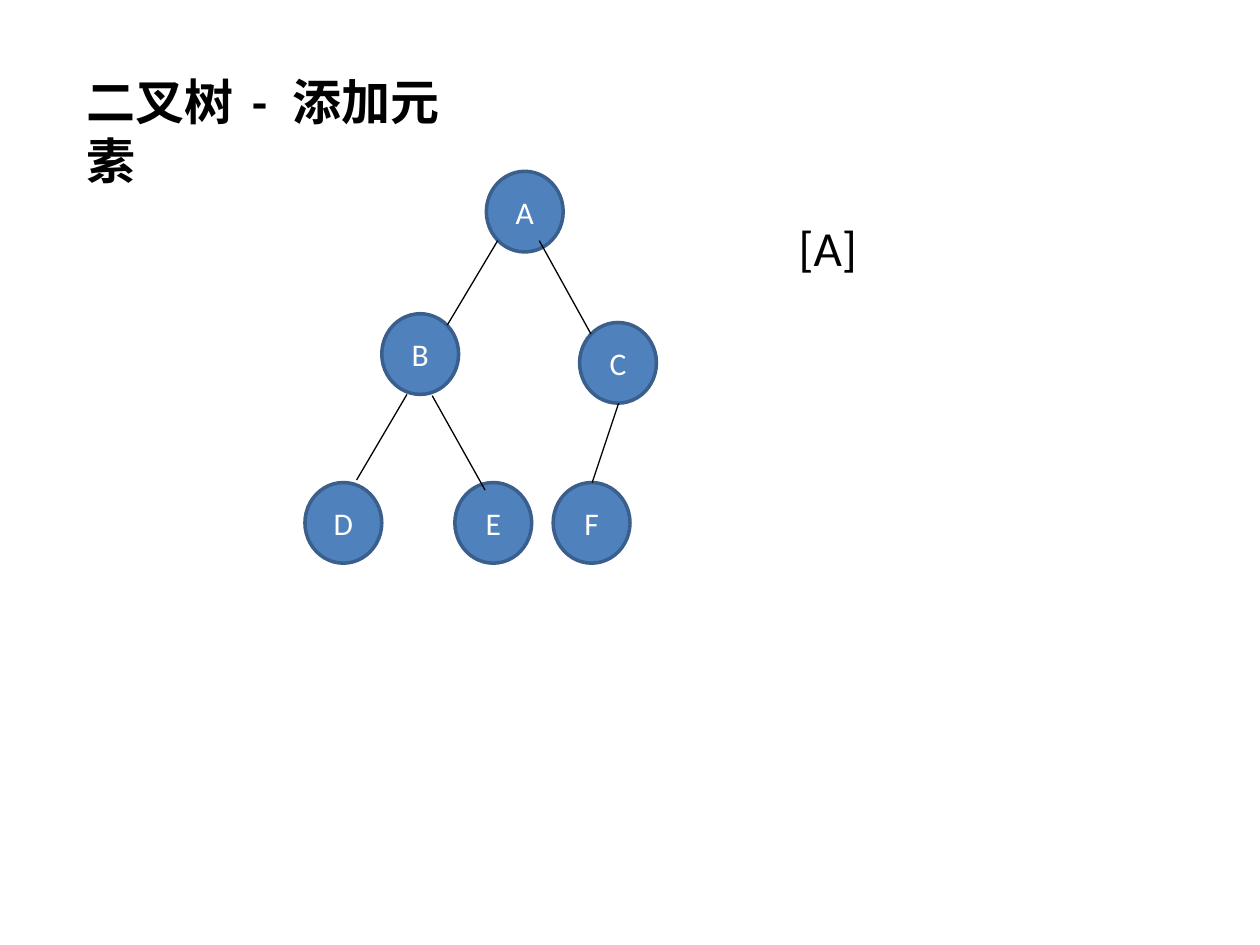
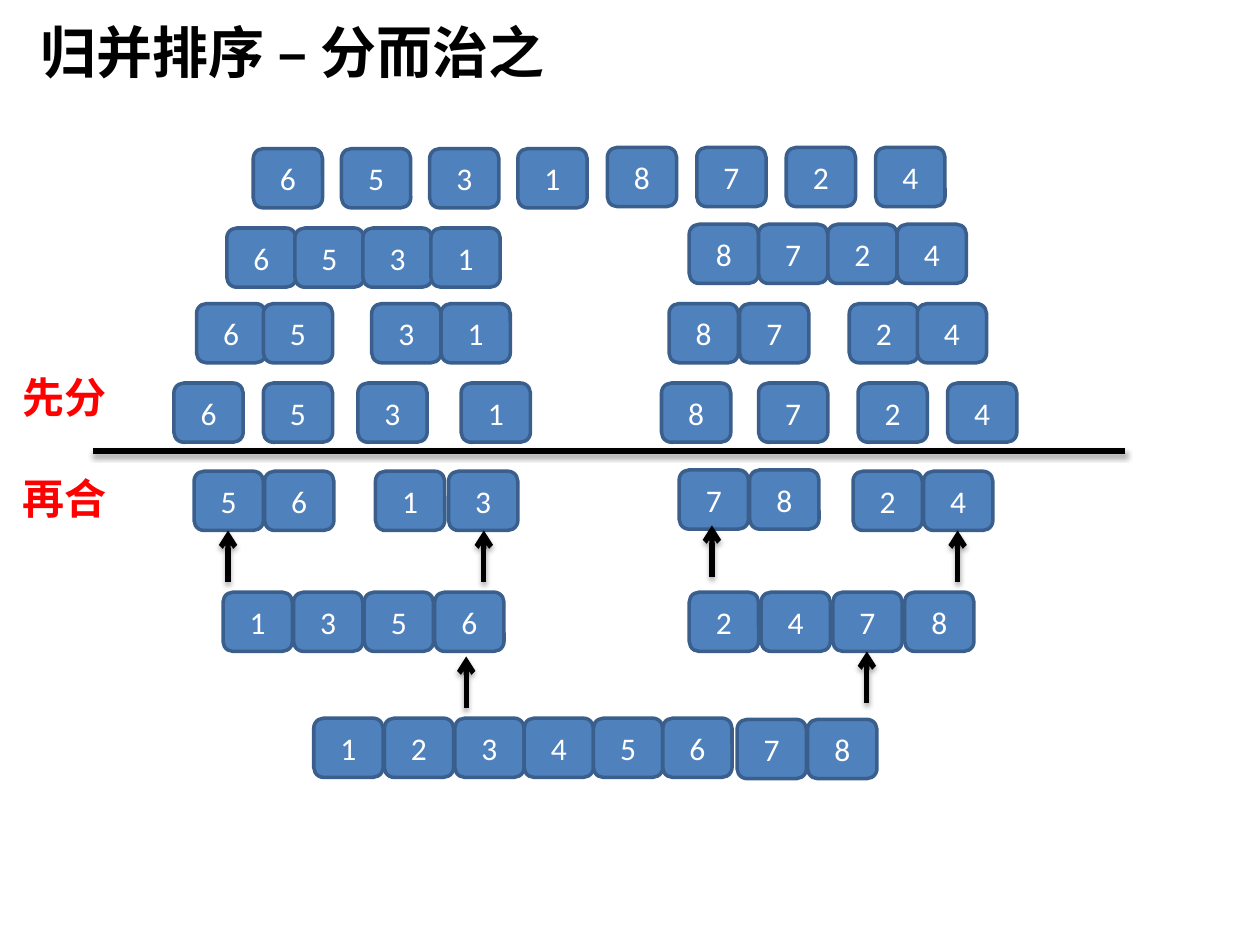
from dataclasses import dataclass
from typing import Optional

from lxml.etree import SubElement
from pptx import Presentation
from pptx.dml.color import RGBColor
from pptx.enum.shapes import MSO_CONNECTOR, MSO_SHAPE
from pptx.enum.text import MSO_ANCHOR, MSO_AUTO_SIZE, PP_ALIGN
from pptx.oxml.ns import qn
from pptx.util import Inches, Pt

# Shared look
COLORS = {"fill": "4F81BD", "edge": "3A5F8C", "white": "FFFFFF",
          "black": "000000", "red": "FF0000"}
FONT = "Calibri"
NODE = (0.61, 0.64)
TILE = (0.55, 0.47)


@dataclass
class Node:
    name: str
    left: float
    top: float


@dataclass
class Edge:
    x1: float
    y1: float
    x2: float
    y2: float


@dataclass
class Group:
    """Digits set side by side at an even step."""
    digits: str
    left: float
    top: float
    step: float


def rgb(name: str) -> RGBColor:
    return RGBColor.from_string(COLORS[name])


def write(frame, *lines: str, size: float = 18, color: str = "black",
          bold: bool = False, align=PP_ALIGN.LEFT, anchor=MSO_ANCHOR.TOP,
          wrap: bool = False, gap: float = 0) -> None:
    """Fill a frame, one paragraph a line, with gap points between them."""
    frame.auto_size = MSO_AUTO_SIZE.NONE
    frame.word_wrap = wrap
    frame.vertical_anchor = anchor
    for i, line in enumerate(lines):
        para = frame.paragraphs[0] if i == 0 else frame.add_paragraph()
        para.alignment = align
        para.space_before = Pt(gap if i else 0)
        run = para.add_run()
        run.text = line
        font = run.font
        font.name, font.size, font.bold = FONT, Pt(size), bold
        font.color.rgb = rgb(color)


def place(shape, left: float, top: float, width: float, height: float) -> None:
    shape.left, shape.top = Inches(left), Inches(top)
    shape.width, shape.height = Inches(width), Inches(height)


def head(slide, text: str, box: tuple, size: float, wrap: bool = False):
    title = slide.shapes.title
    place(title, *box)
    write(title.text_frame, text, size=size, bold=True, wrap=wrap)
    return title.text_frame.paragraphs[0]


def label(slide, *lines: str, box: tuple, **style) -> None:
    area = slide.shapes.add_textbox(*map(Inches, box))
    write(area.text_frame, *lines, **style)


def block(slide, kind, text: str, left: float, top: float, size: tuple) -> None:
    shape = slide.shapes.add_shape(kind, *map(Inches, (left, top, *size)))
    shape.shadow.inherit = False
    shape.fill.solid()
    shape.fill.fore_color.rgb = rgb("fill")
    shape.line.color.rgb = rgb("edge")
    shape.line.width = Pt(2)
    write(shape.text_frame, text, color="white", align=PP_ALIGN.CENTER,
          anchor=MSO_ANCHOR.MIDDLE, wrap=True)


def link(slide, edge: Edge, width: float, shade: bool = False,
         tip: Optional[str] = None) -> None:
    ends = map(Inches, (edge.x1, edge.y1, edge.x2, edge.y2))
    line = slide.shapes.add_connector(MSO_CONNECTOR.STRAIGHT, *ends)
    line.line.color.rgb = rgb("black")
    line.line.width = Pt(width)
    if tip:
        SubElement(line.line._get_or_add_ln(), qn("a:tailEnd"), type=tip)
    effect = SubElement(line._element.spPr, qn("a:effectLst"))
    if shade:
        cast = SubElement(effect, qn("a:outerShdw"), blurRad=str(Pt(3.1)),
                          dist=str(Pt(1.8)), dir="5400000", rotWithShape="0")
        tone = SubElement(cast, qn("a:srgbClr"), val=COLORS["black"])
        SubElement(tone, qn("a:alpha"), val="35000")


deck = Presentation()
deck.slide_width, deck.slide_height = Inches(10), Inches(7.5)
plain = deck.slide_layouts.get_by_name("Title Only")

# Slide 1: binary tree
tree = deck.slides.add_slide(plain)
para = head(tree, "二叉树", (0.59, 0.52, 3.25, 0.57), 28, wrap=True)
for part, space in ((" - ", "420"), ("添加元素", "0")):
    run = para.add_run()
    run.text = part
    run.font.name, run.font.size, run.font.bold = FONT, Pt(28), True
    run.font.color.rgb = rgb("black")
    run.font._element.set("spc", space)

NODES = [
    Node("A", 3.86, 1.36), Node("B", 3.03, 2.49), Node("C", 4.6, 2.56),
    Node("D", 2.42, 3.83), Node("E", 3.61, 3.83), Node("F", 4.39, 3.83),
]
EDGES = [
    Edge(3.55, 2.58, 3.95, 1.91), Edge(4.69, 2.65, 4.28, 1.91),
    Edge(3.85, 3.89, 3.43, 3.14), Edge(4.7, 3.83, 4.91, 3.2),
    Edge(2.83, 3.81, 3.23, 3.13),
]
for node in NODES:
    block(tree, MSO_SHAPE.OVAL, node.name, node.left, node.top, NODE)
for edge in EDGES:
    link(tree, edge, 0.75)
label(tree, "[A]", box=(6.24, 1.68, 0.67, 0.57), size=28)

# Slide 2: merge sort
sort = deck.slides.add_slide(plain)
head(sort, "归并排序 – 分而治之", (0.22, 0.09, 4.23, 0.64), 32)

GROUPS = [
    # Split
    Group("6531", 2.01, 1.18, 0.7), Group("8724", 4.82, 1.17, 0.71),
    Group("6531", 1.8, 1.81, 0.54), Group("8724", 5.47, 1.78, 0.55),
    Group("65", 1.56, 2.41, 0.53), Group("31", 2.95, 2.41, 0.55),
    Group("87", 5.31, 2.41, 0.56), Group("24", 6.74, 2.41, 0.54),
    Group("65", 1.38, 3.04, 0.71), Group("31", 2.84, 3.04, 0.82),
    Group("87", 5.25, 3.04, 0.77), Group("24", 6.81, 3.04, 0.71),
    # Merge
    Group("56", 1.54, 3.74, 0.56), Group("13", 2.98, 3.74, 0.58),
    Group("78", 5.39, 3.73, 0.56), Group("24", 6.77, 3.74, 0.56),
    Group("1356", 1.77, 4.7, 0.56), Group("2478", 5.47, 4.7, 0.57),
    Group("123", 2.49, 5.7, 0.56), Group("456", 4.16, 5.7, 0.55),
    Group("78", 5.85, 5.71, 0.56),
]
for group in GROUPS:
    for i, digit in enumerate(group.digits):
        block(sort, MSO_SHAPE.ROUNDED_RECTANGLE, digit,
              group.left + i * group.step, group.top, TILE)

# Divider between the two phases
link(sort, Edge(0.74, 3.58, 8.93, 3.58), 3, shade=True)
label(sort, "先分", "再合", box=(0.08, 2.9, 0.88, 1.31), size=24,
      color="red", bold=True, gap=29)

# Arrows up to the merged parts
RISE = 0.41
for x, y in ((1.81, 4.62), (3.84, 4.62), (5.65, 4.58), (7.6, 4.62),
             (3.7, 5.62), (6.88, 5.58)):
    link(sort, Edge(x, y, x, y - RISE), 3, shade=True, tip="arrow")

deck.save("out.pptx")
